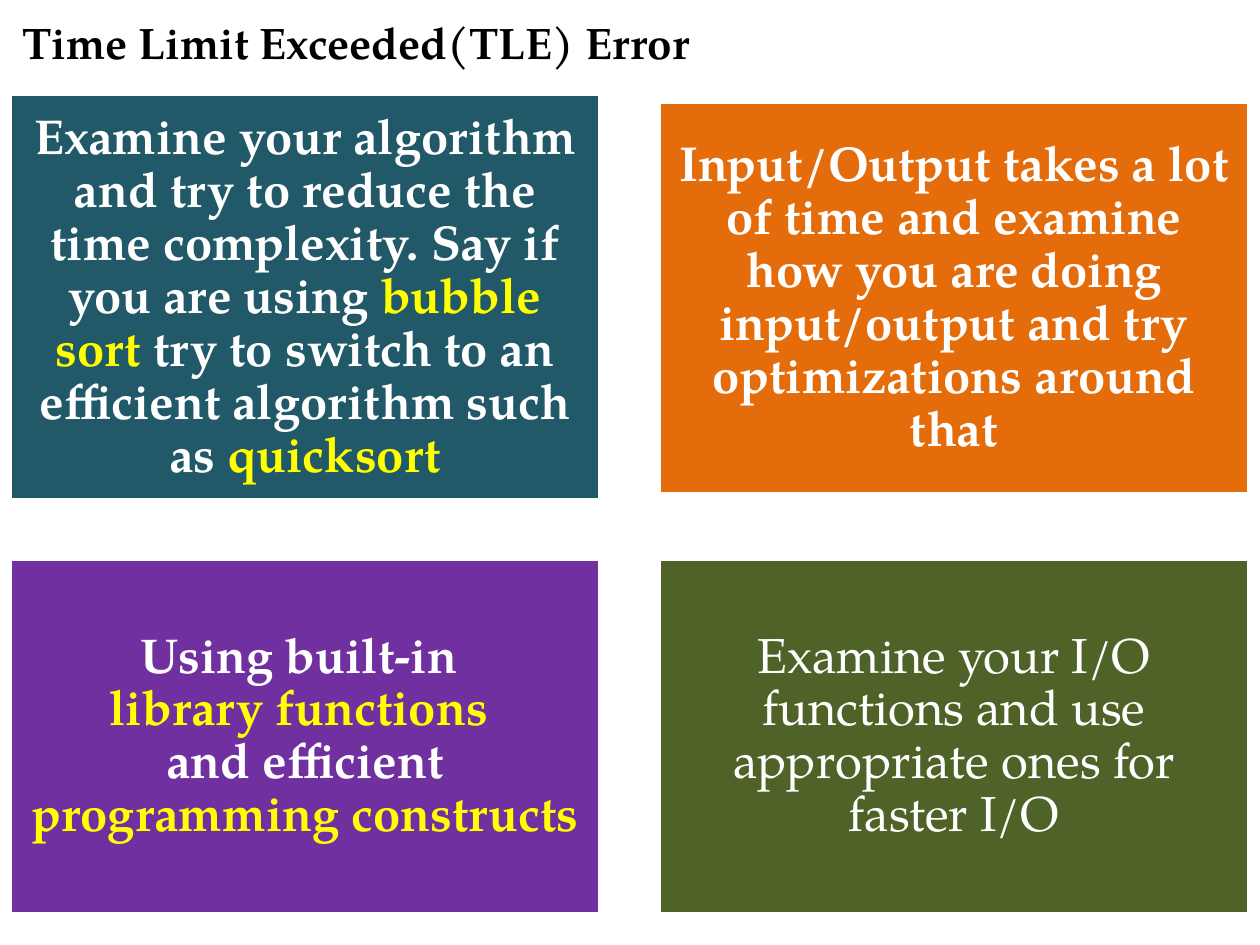
"""Build the Time Limit Exceeded slide with four advice cards."""
from dataclasses import dataclass

import pptx
import pptx.dml.color
import pptx.enum.shapes
import pptx.enum.text
import pptx.util

Inches = pptx.util.Inches
Pt = pptx.util.Pt
RGBColor = pptx.dml.color.RGBColor
PP_ALIGN = pptx.enum.text.PP_ALIGN
MSO_ANCHOR = pptx.enum.text.MSO_ANCHOR

FONT = "TeX Gyre Pagella"
BLACK = RGBColor(0x00, 0x00, 0x00)
WHITE = RGBColor(0xFF, 0xFF, 0xFF)
YELLOW = RGBColor(0xFF, 0xFF, 0x00)
TEAL = RGBColor(0x21, 0x59, 0x68)
ORANGE = RGBColor(0xE4, 0x6C, 0x0A)
PURPLE = RGBColor(0x70, 0x30, 0xA0)
GREEN = RGBColor(0x4F, 0x62, 0x28)

LEFT, RIGHT, CARD_WIDTH = 0.08, 5.23, 4.68
TITLE_FORMAT = {"name": FONT, "size": Pt(25.2), "bold": True}
CARD_FORMAT = {"name": FONT, "size": Pt(28)}
FRAME_FORMAT = {
    "word_wrap": True,
    "auto_size": pptx.enum.text.MSO_AUTO_SIZE.NONE,
    "vertical_anchor": MSO_ANCHOR.MIDDLE,
}
MARGINS = {f"margin_{side}": Inches(0.12) for side in ("left", "top", "right", "bottom")}


@dataclass
class Span:
    text: str
    color: RGBColor = WHITE
    break_after: bool = False


@dataclass
class Card:
    left: float
    top: float
    height: float
    fill: RGBColor
    spans: list[Span]
    bold: bool = True


CARDS = [
    Card(LEFT, 0.75, 3.22, TEAL, [
        Span("Examine your algorithm and try to reduce the time complexity. "
             "Say if you are using "),
        Span("bubble sort ", YELLOW),
        Span("try to switch to an efficient algorithm such as "),
        Span("quicksort", YELLOW),
    ]),
    Card(RIGHT, 0.81, 3.11, ORANGE, [
        Span("Input/Output takes a lot of time and examine how you are doing "
             "input/output and try optimizations around that"),
    ]),
    Card(LEFT, 4.44, 2.81, PURPLE, [
        Span("Using built-in ", break_after=True),
        Span("library functions ", YELLOW, break_after=True),
        Span("and efficient "),
        Span("programming constructs", YELLOW),
    ]),
    Card(RIGHT, 4.44, 2.81, GREEN, [
        Span("Examine your I/O functions and use appropriate ones for faster I/O"),
    ], bold=False),
]


def apply(target: object, values: dict) -> None:
    for name, value in values.items():
        setattr(target, name, value)


def add_span(p, span: Span, values: dict) -> None:
    r = p.add_run()
    r.text = span.text
    apply(r.font, values)
    r.font.color.rgb = span.color
    if span.break_after:
        p.add_line_break()


def add_title(s, text: str) -> None:
    sp = s.shapes.title
    apply(sp, {"left": Inches(LEFT), "top": Inches(0.08),
               "width": Inches(9.67), "height": Inches(0.5)})
    apply(sp.text_frame, FRAME_FORMAT)
    p = sp.text_frame.paragraphs[0]
    p.alignment = PP_ALIGN.LEFT
    add_span(p, Span(text, BLACK), TITLE_FORMAT)


def add_card(s, card: Card) -> None:
    sp = s.shapes.add_shape(
        pptx.enum.shapes.MSO_SHAPE.RECTANGLE, Inches(card.left), Inches(card.top),
        Inches(CARD_WIDTH), Inches(card.height))
    sp.shadow.inherit = False
    sp.fill.solid()
    sp.fill.fore_color.rgb = card.fill
    sp.line.color.rgb = WHITE
    sp.line.width = Pt(2)
    tf = sp.text_frame
    apply(tf, FRAME_FORMAT | MARGINS)
    p = tf.paragraphs[0]
    apply(p, {"alignment": PP_ALIGN.CENTER, "line_spacing": 0.9})
    for span in card.spans:
        add_span(p, span, CARD_FORMAT | {"bold": card.bold})


def main() -> None:
    prs = pptx.Presentation()
    apply(prs, {"slide_width": Inches(10), "slide_height": Inches(7.5)})
    s = prs.slides.add_slide(prs.slide_layouts.get_by_name("Title Only"))
    add_title(s, "Time Limit Exceeded(TLE) Error")
    for card in CARDS:
        add_card(s, card)
    prs.save("out.pptx")


if __name__ == "__main__":
    main()
